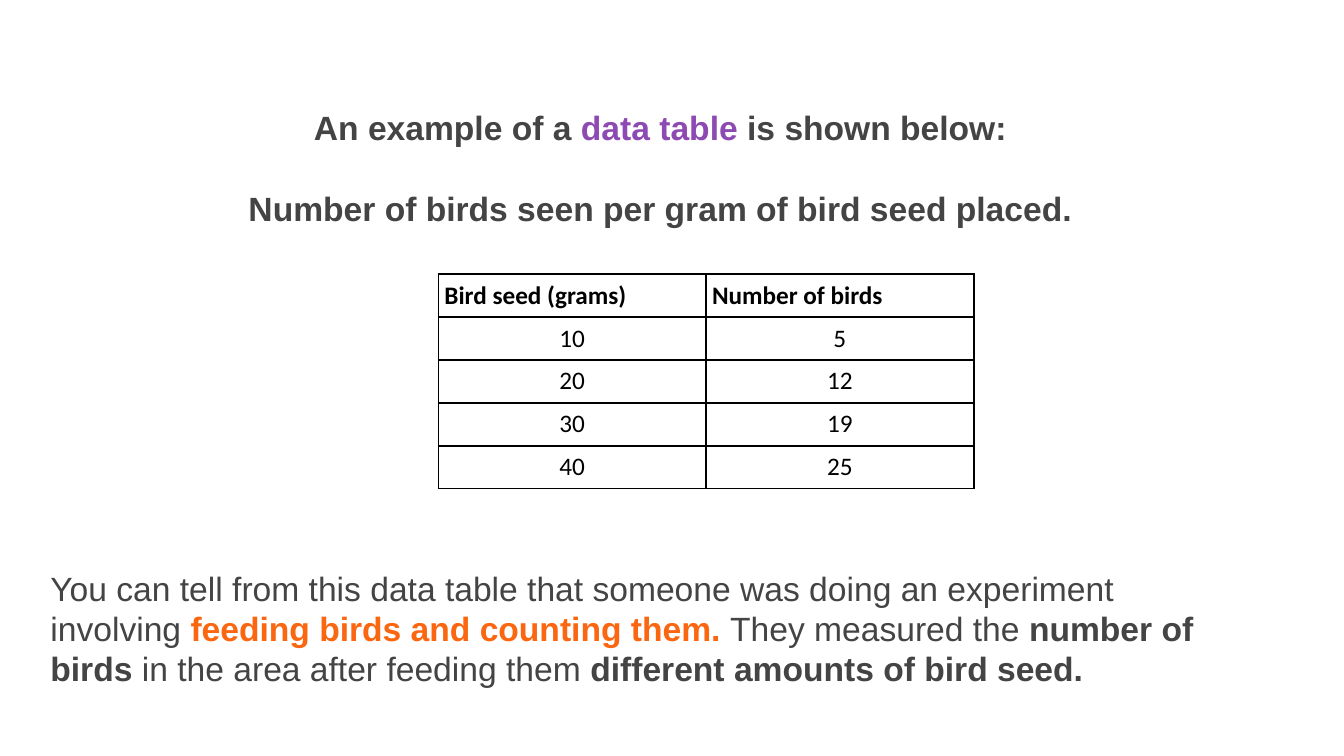
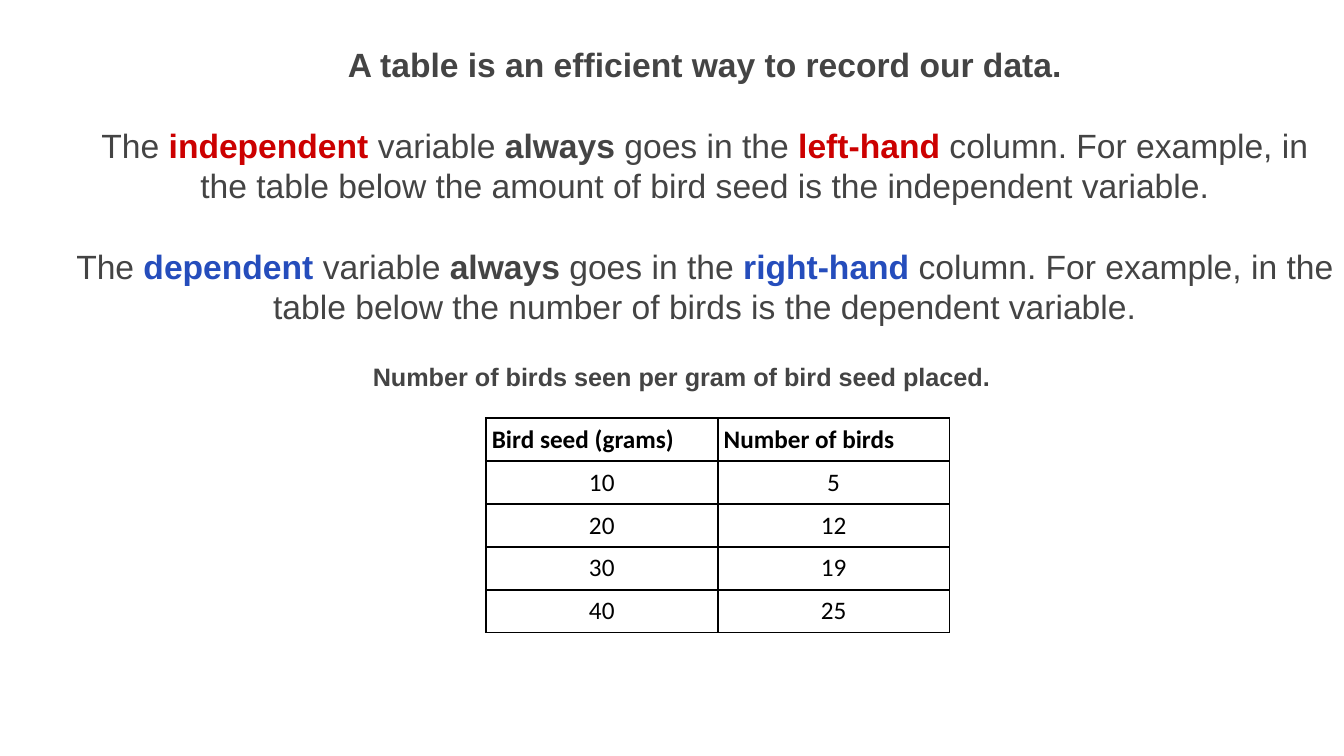
from dataclasses import dataclass

from lxml import etree
from pptx import Presentation
from pptx.dml.color import RGBColor
from pptx.enum.text import MSO_ANCHOR, MSO_AUTO_SIZE, PP_ALIGN
from pptx.oxml.ns import qn
from pptx.util import Inches, Pt

LEFT, CENTER = PP_ALIGN.LEFT, PP_ALIGN.CENTER
TOP, MIDDLE = MSO_ANCHOR.TOP, MSO_ANCHOR.MIDDLE
NO_AUTOFIT = MSO_AUTO_SIZE.NONE
NO_BREAK_SPACE = chr(160)


@dataclass(frozen=True)
class Theme:
    text: str = "444444"
    table_text: str = "000000"
    border: str = "000000"
    cell_fill: str = "FFFFFF"
    purple: str = "8C4AB2"
    orange: str = "FB6611"
    red: str = "CC0000"
    blue: str = "254DBC"
    font: str = "Arial"
    table_font: str = "Calibri"
    large: int = 24
    small: int = 18
    line_height: float = 1.2
    border_width: float = 1.5
    cell_margin: float = 0.06


THEME = Theme()
TITLE_HEIGHT = 6.67
ROW_HEIGHT = 5.65
BIRD_COUNTS = [
    ("Bird seed (grams)", "Number of birds"),
    ("10", "5"),
    ("20", "12"),
    ("30", "19"),
    ("40", "25"),
]
CAPTION = "Number of birds seen per gram of bird seed placed."


def strong(text, color=THEME.text):
    """Mark a bold, optionally coloured, run."""
    return text, color


def write(frame, paragraphs, *, size=THEME.large, font=THEME.font,
          color=THEME.text, bold=False, align=LEFT, anchor=TOP, gap=0,
          line_height=THEME.line_height):
    """Fill a text frame; the runs of a paragraph are joined by no-break spaces."""
    frame.vertical_anchor = anchor
    for index, runs in enumerate(paragraphs):
        paragraph = frame.add_paragraph() if index else frame.paragraphs[0]
        paragraph.alignment = align
        paragraph.space_before = Pt(gap if index else 0)
        if line_height:
            paragraph.line_spacing = Pt(size * line_height)
        for position, item in enumerate(runs, start=1):
            text, run_color = (item, color) if isinstance(item, str) else item
            run = paragraph.add_run()
            run.text = text + (NO_BREAK_SPACE if position < len(runs) else "")
            run.font.name = font
            run.font.size = Pt(size)
            run.font.bold = bold or not isinstance(item, str)
            run.font.color.rgb = RGBColor.from_string(run_color)


def remove_bullets(frame):
    for paragraph in frame.paragraphs:
        properties = paragraph._p.get_or_add_pPr()
        properties.set("marL", "0")
        properties.set("indent", "0")
        etree.SubElement(properties, qn("a:buNone"))


def add_borders(cell):
    properties = cell._tc.get_or_add_tcPr()
    for side in ("lnL", "lnR", "lnT", "lnB"):
        line = etree.SubElement(properties, qn(f"a:{side}"),
                                w=str(Pt(THEME.border_width)))
        fill = etree.SubElement(line, qn("a:solidFill"))
        etree.SubElement(fill, qn("a:srgbClr"), val=THEME.border)


class Deck:
    """Slides whose lengths are percentages of the slide's width and height."""

    def __init__(self):
        self.presentation = Presentation()
        self.presentation.slide_width = Inches(13.33)
        self.presentation.slide_height = Inches(7.5)
        self.slide = None

    def new_slide(self):
        layout = self.presentation.slide_layouts[1]
        self.slide = self.presentation.slides.add_slide(layout)

    def box(self, left, top, width, height):
        across = self.presentation.slide_width / 100
        down = self.presentation.slide_height / 100
        return (round(left * across), round(top * down),
                round(width * across), round(height * down))

    def place(self, shape, box):
        shape.left, shape.top, shape.width, shape.height = self.box(*box)
        shape.text_frame.word_wrap = True
        shape.text_frame.auto_size = NO_AUTOFIT
        return shape.text_frame

    def title(self, runs, box):
        frame = self.place(self.slide.shapes.title, box)
        write(frame, [runs], bold=True, align=CENTER)

    def body(self, paragraphs, box, align=LEFT):
        frame = self.place(self.slide.placeholders[1], box)
        write(frame, paragraphs, align=align,
              gap=THEME.large * THEME.line_height)
        remove_bullets(frame)

    def caption(self, text, box, **text_format):
        shape = self.slide.shapes.add_textbox(*self.box(*box))
        write(self.place(shape, box), [[text]], bold=True, **text_format)

    def table(self, rows, left, top, width):
        box = self.box(left, top, width, ROW_HEIGHT * len(rows))
        table = self.slide.shapes.add_table(len(rows), len(rows[0]), *box).table
        table.horz_banding = False
        margin = Inches(THEME.cell_margin)
        for row_index, values in enumerate(rows):
            header = row_index == 0
            for column_index, value in enumerate(values):
                cell = table.cell(row_index, column_index)
                cell.margin_left = cell.margin_right = margin
                cell.margin_top = cell.margin_bottom = margin
                cell.vertical_anchor = MIDDLE
                add_borders(cell)
                cell.fill.solid()
                cell.fill.fore_color.rgb = RGBColor.from_string(THEME.cell_fill)
                write(cell.text_frame, [[value]], size=THEME.small,
                      font=THEME.table_font, color=THEME.table_text,
                      bold=header, align=LEFT if header else CENTER,
                      anchor=MIDDLE, line_height=None)


def variable_rule(name, side, color, example):
    return ["The", strong(name, color), "variable", strong("always"),
            "goes in the", strong(side, color),
            f"column. For example, in the table below the {example} "
            f"is the {name} variable."]


def add_example_slide(deck):
    deck.new_slide()
    deck.title(["An example of a", strong("data table", THEME.purple),
                "is shown below:"], (5.33, 13.47, 87.6, TITLE_HEIGHT))
    deck.caption(CAPTION, (5.33, 24.13, 87.6, TITLE_HEIGHT), align=CENTER)
    deck.table(BIRD_COUNTS, 32.62, 36.27, 39.82)
    deck.body([[
        "You can tell from this data table that someone was doing "
        "an experiment involving",
        strong("feeding birds and counting them.", THEME.orange),
        "They measured the", strong("number of birds"),
        "in the area after feeding them",
        strong("different amounts of bird seed."),
    ]], (3, 74.4, 93.68, 17.47))


def add_variables_slide(deck):
    deck.new_slide()
    deck.title(["A table is an efficient way to record our data."],
               (4.88, 5.2, 95.12, TITLE_HEIGHT))
    deck.body([
        variable_rule("independent", "left-hand", THEME.red,
                      "amount of bird seed"),
        variable_rule("dependent", "right-hand", THEME.blue,
                      "number of birds"),
    ], (4.88, 15.87, 95.12, 28.4), align=CENTER)
    deck.caption(CAPTION, (27, 47.07, 47.93, 5.33), size=THEME.small)
    deck.table(BIRD_COUNTS, 36.15, 55.33, 34.5)


def main():
    deck = Deck()
    add_example_slide(deck)
    add_variables_slide(deck)
    deck.presentation.save("out.pptx")


if __name__ == "__main__":
    main()
